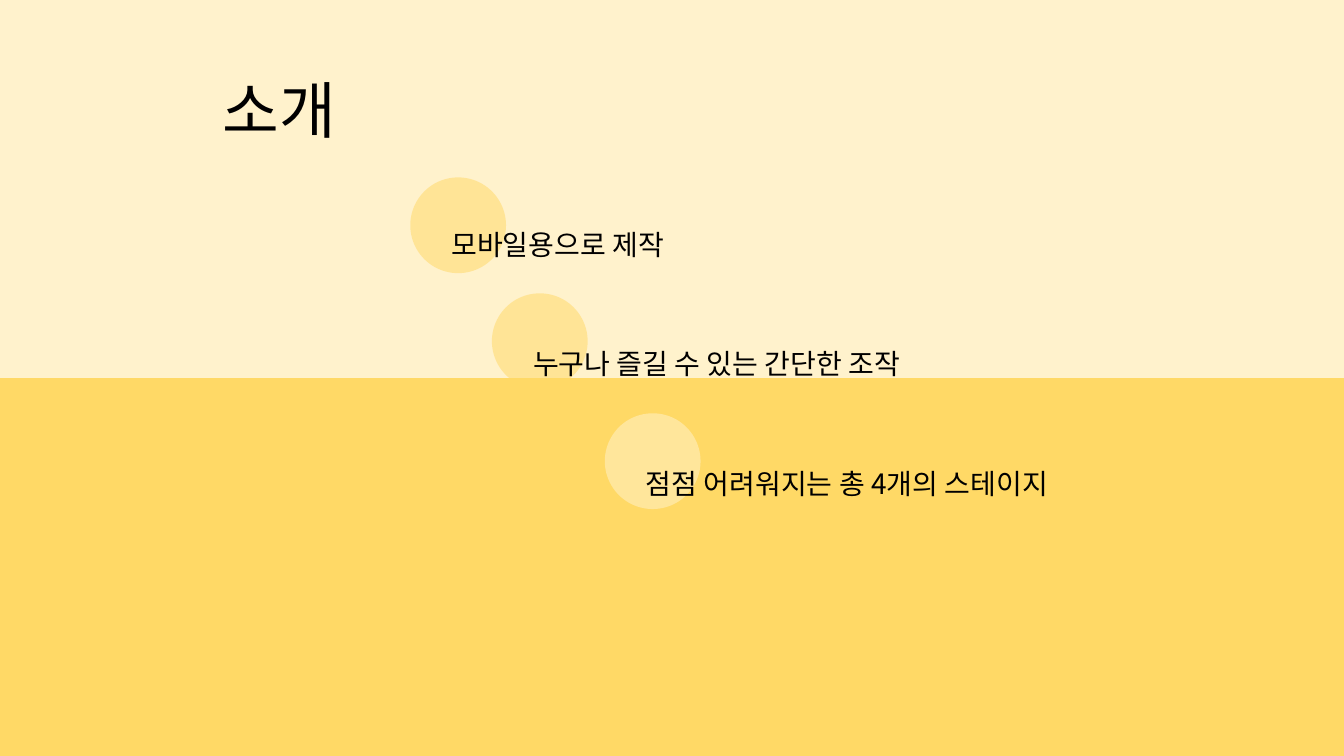
from dataclasses import dataclass

import pptx
import pptx.dml.color
import pptx.enum.shapes
import pptx.enum.text
import pptx.oxml.ns
import pptx.util
from lxml import etree

Pt = pptx.util.Pt
RGBColor = pptx.dml.color.RGBColor
Shape = pptx.enum.shapes.MSO_SHAPE


@dataclass(frozen=True)
class Theme:
    cream: RGBColor = RGBColor(0xFF, 0xF2, 0xCC)
    yellow: RGBColor = RGBColor(0xFF, 0xD9, 0x66)
    ink: RGBColor = RGBColor(0, 0, 0)
    font: str = "Noto Sans CJK KR"
    title_size: int = 44
    item_size: int = 20


THEME = Theme()
WIDTH, HEIGHT = 960, 540
CIRCLE_SIZE = 68.4
CIRCLE_OPACITY = 52
TEXT_INDENT = 22.32  # from the left of a circle to its text box
TEXT_HEIGHT = 59.04

# circle left, circle top, circle colour, text top, text width, text
FEATURES = [
    (293.04, 126.72, THEME.yellow, 123.12, 218.88, "모바일용으로 제작"),
    (351.36, 209.52, THEME.yellow, 208.08, 566.64, "누구나 즐길 수 있는 간단한 조작"),
    (432, 295.2, THEME.cream, 293.76, 340.56, "점점 어려워지는 총 4개의 스테이지"),
]


def add_filled_shape(slide, kind, left, top, width, height, color, opacity=100):
    shape = slide.shapes.add_shape(kind, Pt(left), Pt(top), Pt(width), Pt(height))
    shape.shadow.inherit = False
    shape.fill.solid()
    shape.fill.fore_color.rgb = color
    shape.line.fill.background()
    if opacity < 100:
        qualified = pptx.oxml.ns.qn
        fill_color = shape.fill._xPr.find(".//" + qualified("a:srgbClr"))
        etree.SubElement(fill_color, qualified("a:alpha"), val=str(opacity * 1000))


def add_text(slide, left, top, width, height, text, size, line_spacing):
    shape = slide.shapes.add_textbox(Pt(left), Pt(top), Pt(width), Pt(height))
    text_frame = shape.text_frame
    text_frame.word_wrap = True
    text_frame.text = text
    paragraph = text_frame.paragraphs[0]
    paragraph.line_spacing = line_spacing
    run = paragraph.runs[0]
    run.font.size = Pt(size)
    run.font.color.rgb = THEME.ink
    run.font.name = THEME.font
    # Hangul takes the East Asian typeface
    etree.SubElement(run.font._element, pptx.oxml.ns.qn("a:ea"), typeface=THEME.font)
    return text_frame


def add_circle(slide, feature):
    left, top, color = feature[:3]
    add_filled_shape(slide, Shape.OVAL, left, top, CIRCLE_SIZE, CIRCLE_SIZE,
                     color, CIRCLE_OPACITY)


def add_feature_text(slide, feature):
    left, _, _, top, width, text = feature
    text_frame = add_text(slide, left + TEXT_INDENT, top, width, TEXT_HEIGHT,
                          text, THEME.item_size, 2.5)
    text_frame.auto_size = pptx.enum.text.MSO_AUTO_SIZE.SHAPE_TO_FIT_TEXT


def add_title(slide, text):
    text_frame = add_text(slide, 151.92, 28.8, 742.32, 104.4,
                          text, THEME.title_size, 0.9)
    text_frame.vertical_anchor = pptx.enum.text.MSO_ANCHOR.MIDDLE


def main():
    presentation = pptx.Presentation()
    presentation.slide_width, presentation.slide_height = Pt(WIDTH), Pt(HEIGHT)
    slide = presentation.slides.add_slide(presentation.slide_layouts[6])
    slide.background.fill.solid()
    slide.background.fill.fore_color.rgb = THEME.cream

    # The lower band covers the bottom of the second circle
    *upper_features, last_feature = FEATURES
    for feature in upper_features:
        add_circle(slide, feature)
    add_filled_shape(slide, Shape.RECTANGLE, 0, HEIGHT / 2, WIDTH, HEIGHT / 2,
                     THEME.yellow)
    add_circle(slide, last_feature)

    add_title(slide, "소개")
    for feature in FEATURES:
        add_feature_text(slide, feature)
    presentation.save("out.pptx")


if __name__ == "__main__":
    main()
